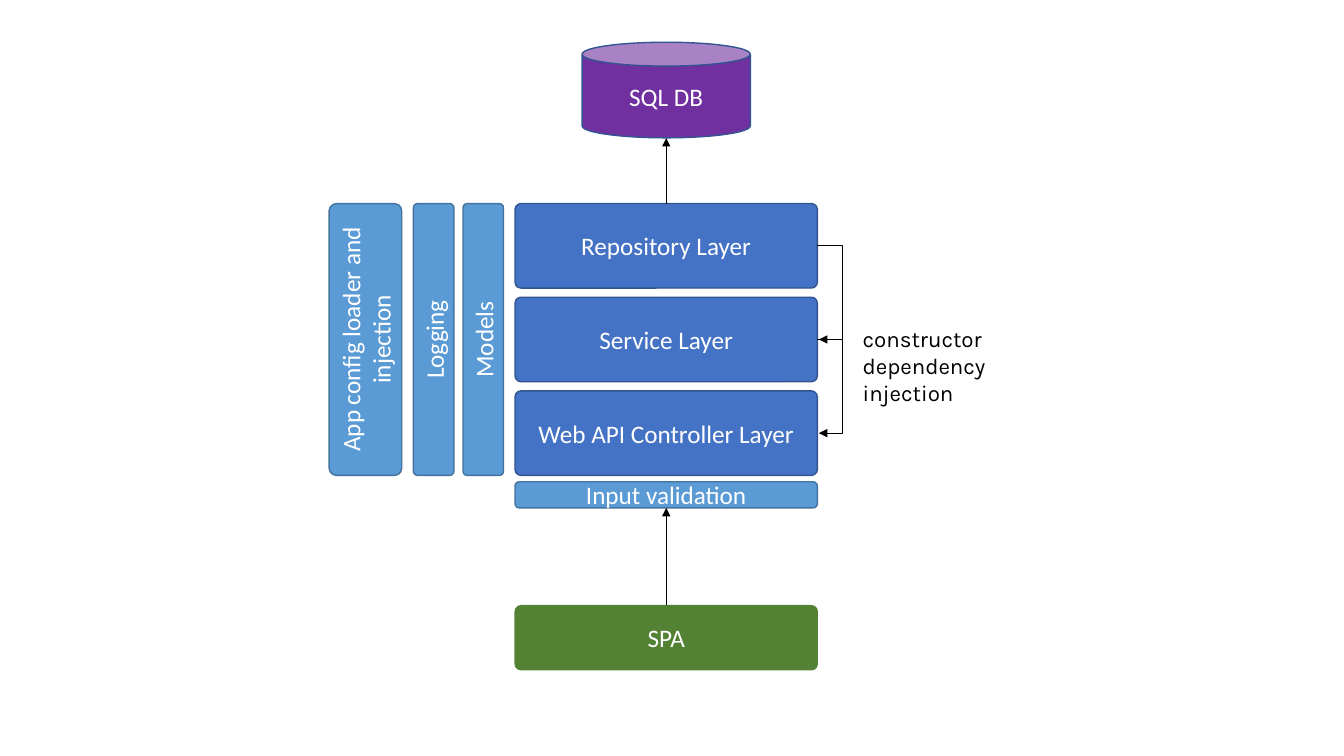
"""Draw the layered web application diagram on one slide."""
from dataclasses import dataclass
from typing import Optional

from lxml.etree import SubElement
from pptx import Presentation
from pptx.dml.color import RGBColor
from pptx.enum.shapes import MSO_CONNECTOR as Link, MSO_SHAPE as Form
from pptx.enum.text import MSO_ANCHOR as Anchor, PP_ALIGN as Align
from pptx.oxml.ns import qn
from pptx.slide import Slide
from pptx.text.text import TextFrame
from pptx.util import Cm, Pt

WHITE = RGBColor(0xFF, 0xFF, 0xFF)
BLACK = RGBColor(0, 0, 0)
BLUE = RGBColor(0x44, 0x72, 0xC4)
NAVY = RGBColor(0x32, 0x54, 0x91)
SKY = RGBColor(0x5B, 0x9B, 0xD5)
STEEL = RGBColor(0x43, 0x73, 0x9E)
GREEN = RGBColor(0x54, 0x82, 0x35)
PURPLE = RGBColor(0x70, 0x30, 0xA0)

MID = 16.79
WIDE = 7.62
EDGE = MID + WIDE / 2
TALL = 2.13
STEP = 2.36
TOP = 5.13
STACK = 2 * STEP + TALL
BEND = 0.63
GAP = 0.04


@dataclass
class Box:
    """A labelled shape placed by its centre, in centimetres."""
    text: str
    x: float
    y: float
    width: float
    height: float
    fill: RGBColor
    line: Optional[RGBColor] = None
    adj: float = 0.1
    turn: int = 0
    form: Form = Form.ROUNDED_RECTANGLE


@dataclass
class Arrow:
    """An arrow from one point to another, in centimetres."""
    x1: float
    y1: float
    x2: float
    y2: float
    bend: float = 0


def write(frame: TextFrame, *lines: str, font: str = "Calibri", size: int = 18,
          color: RGBColor = WHITE, align: Align = Align.CENTER,
          anchor: Anchor = Anchor.MIDDLE, right: float = 0.25) -> None:
    """Fill a text frame with one paragraph per line."""
    frame.word_wrap = True
    frame.vertical_anchor = anchor
    frame.margin_right = Cm(right)
    for i, line in enumerate(lines):
        para = frame.add_paragraph() if i else frame.paragraphs[0]
        para.alignment = align
        run = para.add_run()
        run.text = line
        run.font.name = font
        run.font.size = Pt(size)
        run.font.color.rgb = color


def draw_box(slide: Slide, box: Box) -> None:
    """Draw a filled shape with its label."""
    shape = slide.shapes.add_shape(
        box.form, Cm(box.x - box.width / 2), Cm(box.y - box.height / 2),
        Cm(box.width), Cm(box.height))
    shape.shadow.inherit = False
    shape.rotation = box.turn
    shape.adjustments[0] = box.adj
    shape.fill.solid()
    shape.fill.fore_color.rgb = box.fill
    if box.line is None:
        shape.line.fill.background()
    else:
        shape.line.color.rgb = box.line
        shape.line.width = Pt(1)
    write(shape.text_frame, box.text)


def draw_arrow(slide: Slide, arrow: Arrow) -> None:
    """Draw a straight arrow, or an elbow when it has a bend."""
    kind = Link.ELBOW if arrow.bend else Link.STRAIGHT
    link = slide.shapes.add_connector(
        kind, Cm(arrow.x1), Cm(arrow.y1), Cm(arrow.x2), Cm(arrow.y2))
    link.line.color.rgb = BLACK
    link.line.width = Pt(0.75)
    props = link._element.spPr
    SubElement(props.find(qn("a:ln")), qn("a:tailEnd"), type="triangle")
    SubElement(props, qn("a:effectLst"))
    if arrow.bend:
        ratio = round(arrow.bend / (arrow.x2 - arrow.x1) * 100000)
        guides = props.find(qn("a:prstGeom")).get_or_add_avLst()
        SubElement(guides, qn("a:gd"), name="adj1", fmla=f"val {ratio}")


def main() -> None:
    """Build and save the slide."""
    deck = Presentation()
    deck.slide_width, deck.slide_height = Cm(33.87), Cm(19.05)
    slide = deck.slides.add_slide(deck.slide_layouts[6])

    names = ("Repository Layer", "Service Layer", "Web API Controller Layer")
    rows = [TOP + TALL / 2 + i * STEP for i in range(len(names))]
    boxes = [Box(name, MID, y, WIDE, TALL, BLUE, NAVY, 0.07)
             for name, y in zip(names, rows)]
    sides = (("App config loader and injection", 9.21, 1.83),
             ("Logging", 10.93, 1.02), ("Models", 12.18, 1.02))
    boxes += [Box(name, x, TOP + STACK / 2, STACK, thick, SKY, STEEL, turn=270)
              for name, x, thick in sides]
    boxes += [
        Box("Input validation", MID, 12.47, WIDE, 0.66, SKY, STEEL, 0.16),
        Box("SPA", MID, 16.07, 7.65, 1.65, GREEN),
        Box("SQL DB", MID, 2.27, 4.24, 2.41, PURPLE, NAVY, 0.25, form=Form.CAN),
    ]
    for box in boxes:
        draw_box(slide, box)

    arrows = [Arrow(MID, 15.24, MID, 12.8), Arrow(MID, TOP, MID, 3.48)]
    arrows += [Arrow(EDGE, y1, EDGE + GAP, y2, BEND)
               for y1, y2 in zip(rows, rows[1:])]
    for arrow in arrows:
        draw_arrow(slide, arrow)

    note = slide.shapes.add_textbox(Cm(21.49), Cm(8.08), Cm(5.89), Cm(1.63))
    write(note.text_frame, "constructor", "dependency injection", font="Karla",
          size=16, color=BLACK, align=Align.LEFT, anchor=Anchor.TOP, right=2)
    deck.save("out.pptx")


if __name__ == "__main__":
    main()
